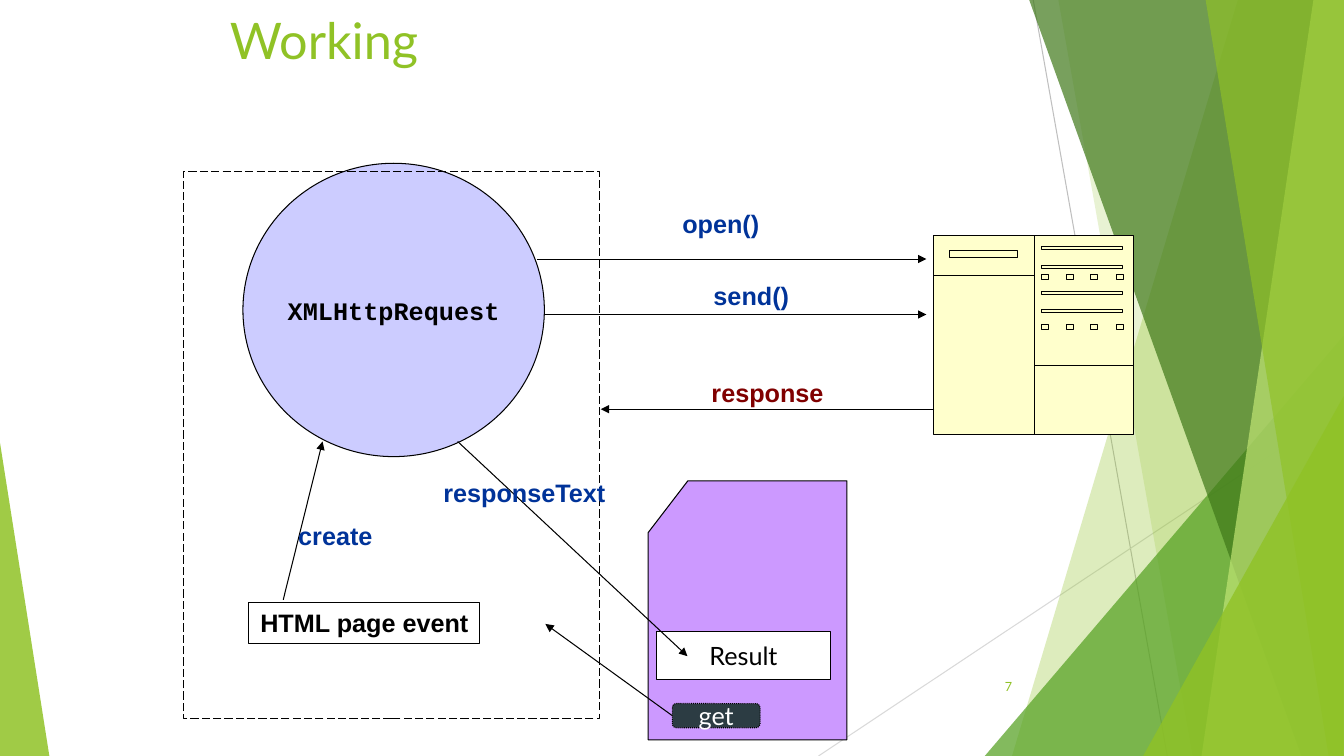
from dataclasses import dataclass
from typing import Optional

from pptx import Presentation
from pptx.dml.color import RGBColor
from pptx.enum.dml import MSO_LINE
from pptx.enum.shapes import MSO_CONNECTOR, MSO_SHAPE
from pptx.enum.text import MSO_ANCHOR, MSO_AUTO_SIZE, PP_ALIGN
from pptx.oxml.ns import qn
from pptx.oxml.xmlchemy import OxmlElement
from pptx.util import Inches, Pt

COLUMNS, ROWS = 133.33, 75
WIDTH, HEIGHT = Inches(13.33), Inches(7.5)

BLACK = RGBColor(0x00, 0x00, 0x00)
WHITE = RGBColor(0xFF, 0xFF, 0xFF)
LIME = RGBColor(0x90, 0xC2, 0x26)
GREEN = RGBColor(0x54, 0xA0, 0x21)
FOREST = RGBColor(0x3F, 0x78, 0x19)
PALE_LIME = RGBColor(0xC0, 0xE4, 0x74)
GREY = RGBColor(0xBF, 0xBF, 0xBF)
LIGHT_GREY = RGBColor(0xD9, 0xD9, 0xD9)
LAVENDER = RGBColor(0xCC, 0xCC, 0xFF)
PURPLE = RGBColor(0xCC, 0x99, 0xFF)
CREAM = RGBColor(0xFF, 0xFF, 0xCC)
SLATE = RGBColor(0x2C, 0x3C, 0x43)
NAVY = RGBColor(0x00, 0x33, 0x99)
MAROON = RGBColor(0x80, 0x00, 0x00)

Point = tuple[float, float]
Area = tuple[float, float, float, float]


@dataclass(frozen=True)
class Words:
    text: str
    font: str = "Arial"
    color: RGBColor = BLACK
    size: float = 18
    bold: bool = False


@dataclass(frozen=True)
class Box:
    kind: MSO_SHAPE
    area: Area
    fill: Optional[RGBColor] = None
    words: Optional[Words] = None
    dash: Optional[MSO_LINE] = None


@dataclass(frozen=True)
class Label:
    area: Area
    words: Words


@dataclass(frozen=True)
class Line:
    start: Point
    end: Point
    color: RGBColor = BLACK
    arrow: bool = True
    source: Optional[str] = None


@dataclass(frozen=True)
class Facet:
    color: RGBColor
    opacity: int
    corners: tuple[Point, ...] = ()
    triangle: Optional[Area] = None
    apex: float = 1


BACK_LINES = (
    Line((102.5, 0), (115.8, ROWS), GREY, arrow=False),
    Line((COLUMNS, 40.3), (81.2, ROWS), LIGHT_GREY, arrow=False),
)


def band(top: float, bottom: float) -> tuple[Point, ...]:
    return (top, 0), (COLUMNS, 0), (COLUMNS, ROWS), (bottom, ROWS)


FACETS = (
    Facet(LIME, 30, band(122.8, 100.4)),
    Facet(LIME, 20, band(105, 118.3)),
    Facet(GREEN, 72, triangle=(97.7, 33.3, 35.6, 41.7)),
    Facet(FOREST, 70, band(102.1, 129.1)),
    Facet(PALE_LIME, 70, band(130.3, 119.2)),
    Facet(LIME, 65, band(119.6, 131.8)),
    Facet(LIME, 80, triangle=(113.4, 39.3, 19.9, 35.7)),
    Facet(LIME, 85, triangle=(0, 43.9, 4.9, 31.1), apex=0),
)

BOXES = (
    Box(MSO_SHAPE.OVAL, (24.1, 16.2, 29.9, 29.1), LAVENDER,
        Words("XMLHttpRequest", "Courier New", bold=True)),
    Box(MSO_SHAPE.RECTANGLE, (24.7, 59.8, 22.9, 4), None,
        Words("HTML page event", bold=True)),
    Box(MSO_SHAPE.RECTANGLE, (92.65, 23.35, 19.8, 19.75), CREAM),
    Box(MSO_SHAPE.FLOWCHART_CARD, (64.3, 47.7, 19.7, 25.7), PURPLE),
    Box(MSO_SHAPE.RECTANGLE, (65.1, 62.7, 17.3, 4.7), WHITE, Words("Result", "Lato")),
    Box(MSO_SHAPE.FLOWCHART_ALTERNATE_PROCESS, (66.7, 69.8, 8.7, 2.4), SLATE,
        Words("get", "Lato", WHITE), MSO_LINE.ROUND_DOT),
    Box(MSO_SHAPE.RECTANGLE, (18.2, 17, 41.3, 54.3), dash=MSO_LINE.LONG_DASH),
)

SERVER_DIVIDERS = (
    ((92.65, 27.3), (102.6, 27.3)),
    ((102.6, 23.35), (102.6, 43.1)),
    ((102.6, 36.3), (112.45, 36.3)),
)
SERVER_PANELS = (
    [(94.2, 24.9, 6.7, 0.6)]
    + [(103.3, top, 8.1, 0.3) for top in (24.5, 26.3, 28.9, 30.7)]
    + [(left, top, 0.7, 0.5) for top in (27.2, 32.2) for left in (103.3, 105.8, 108.2, 110.8)]
)

ARROWS = (
    Line((28.1, 59.5), (32, 43.8)),
    Line((53.3, 25.7), (91.9, 25.7)),
    Line((54.1, 31.2), (91.9, 31.2)),
    Line((92.7, 40.6), (59.6, 40.6)),
    Line((45.4, 43.8), (68.2, 65.1)),
    Line((66.7, 71), (54.1, 61.9), source="get"),
)

LABELS = (
    Label((28.6, 51.1, 9.5, 4), Words("create", color=NAVY, bold=True)),
    Label((66.7, 20.2, 9.7, 4), Words("open()", color=NAVY, bold=True)),
    Label((69.8, 27.3, 9.6, 4), Words("send()", color=NAVY, bold=True)),
    Label((69.6, 36.9, 13.2, 4), Words("response", color=MAROON, bold=True)),
    Label((43, 46.9, 18.2, 4), Words("responseText", color=NAVY, bold=True)),
)


def across(columns: float) -> int:
    return round(WIDTH * columns / COLUMNS)


def down(rows: float) -> int:
    return round(HEIGHT * rows / ROWS)


def place(point: Point) -> tuple[int, int]:
    return across(point[0]), down(point[1])


def frame(area: Area) -> tuple[int, int, int, int]:
    return *place(area[:2]), *place(area[2:])


def write(shape, words: Words, align=PP_ALIGN.LEFT, anchor=MSO_ANCHOR.TOP, wrap=False) -> None:
    text_frame = shape.text_frame
    text_frame.word_wrap = wrap
    text_frame.vertical_anchor = anchor
    paragraph = text_frame.paragraphs[0]
    paragraph.alignment = align
    run = paragraph.add_run()
    run.text = words.text
    run.font.name = words.font
    run.font.size = Pt(words.size)
    run.font.bold = words.bold
    run.font.color.rgb = words.color


def outline(shape, color: RGBColor = BLACK) -> None:
    shape.line.color.rgb = color
    shape.line.width = Pt(0.75)


def draw_line(slide, line: Line, sources: dict) -> None:
    connector = slide.shapes.add_connector(
        MSO_CONNECTOR.STRAIGHT, *place(line.start), *place(line.end))
    if line.source:
        connector.begin_connect(sources[line.source], 1)
    outline(connector, line.color)
    properties = connector.element.spPr
    if line.arrow:
        head = OxmlElement("a:tailEnd")
        head.set("type", "triangle")
        properties.find(qn("a:ln")).append(head)
    properties.append(OxmlElement("a:effectLst"))


def draw_facet(slide, facet: Facet) -> None:
    if facet.triangle:
        shape = slide.shapes.add_shape(MSO_SHAPE.ISOSCELES_TRIANGLE, *frame(facet.triangle))
        shape.adjustments[0] = facet.apex
    else:
        first, *others = map(place, facet.corners)
        builder = slide.shapes.build_freeform(*first)
        builder.add_line_segments(others)
        shape = builder.convert_to_shape()
    shape.shadow.inherit = False
    shape.line.fill.background()
    shape.fill.solid()
    shape.fill.fore_color.rgb = facet.color
    alpha = OxmlElement("a:alpha")
    alpha.set("val", str(facet.opacity * 1000))
    shape.element.spPr.find(".//" + qn("a:srgbClr")).append(alpha)


def draw_box(slide, box: Box):
    shape = slide.shapes.add_shape(box.kind, *frame(box.area))
    shape.shadow.inherit = False
    outline(shape)
    if box.fill is None:
        shape.fill.background()
    else:
        shape.fill.solid()
        shape.fill.fore_color.rgb = box.fill
    if box.dash is not None:
        shape.line.dash_style = box.dash
    if box.words:
        write(shape, box.words, PP_ALIGN.CENTER, MSO_ANCHOR.MIDDLE)
    return shape


def draw_server_front(slide) -> None:
    builder = slide.shapes.build_freeform(*place(SERVER_DIVIDERS[0][0]))
    for start, end in SERVER_DIVIDERS:
        builder.move_to(*place(start))
        builder.add_line_segments([place(end)], close=False)
    for left, top, width, height in SERVER_PANELS:
        right, bottom = left + width, top + height
        builder.move_to(*place((left, top)))
        builder.add_line_segments(
            [place(corner) for corner in ((right, top), (right, bottom), (left, bottom))])
    shape = builder.convert_to_shape()
    shape.shadow.inherit = False
    shape.fill.background()
    outline(shape)


def draw_label(slide, label: Label) -> None:
    shape = slide.shapes.add_textbox(*frame(label.area))
    write(shape, label.words)
    shape.text_frame.auto_size = MSO_AUTO_SIZE.SHAPE_TO_FIT_TEXT


def main() -> None:
    presentation = Presentation()
    presentation.slide_width, presentation.slide_height = WIDTH, HEIGHT
    slide = presentation.slides.add_slide(presentation.slide_layouts[5])

    for line in BACK_LINES:
        draw_line(slide, line, {})
    for facet in FACETS:
        draw_facet(slide, facet)

    title = slide.shapes.title
    title.left, title.top, title.width, title.height = frame((21.8, 0.4, 85, 8.8))
    write(title, Words("Working", "Lato", LIME, 36), wrap=True)
    title.text_frame.auto_size = MSO_AUTO_SIZE.NONE
    number = slide.shapes.add_textbox(*frame((93.9, 66.1, 7.5, 4)))
    write(number, Words("7", "Lato", LIME, 9), PP_ALIGN.RIGHT, MSO_ANCHOR.MIDDLE, True)

    sources = {}
    for box in BOXES:
        shape = draw_box(slide, box)
        if box.words:
            sources[box.words.text] = shape
    draw_server_front(slide)
    for arrow in ARROWS:
        draw_line(slide, arrow, sources)
    for label in LABELS:
        draw_label(slide, label)

    presentation.save("out.pptx")


if __name__ == "__main__":
    main()
